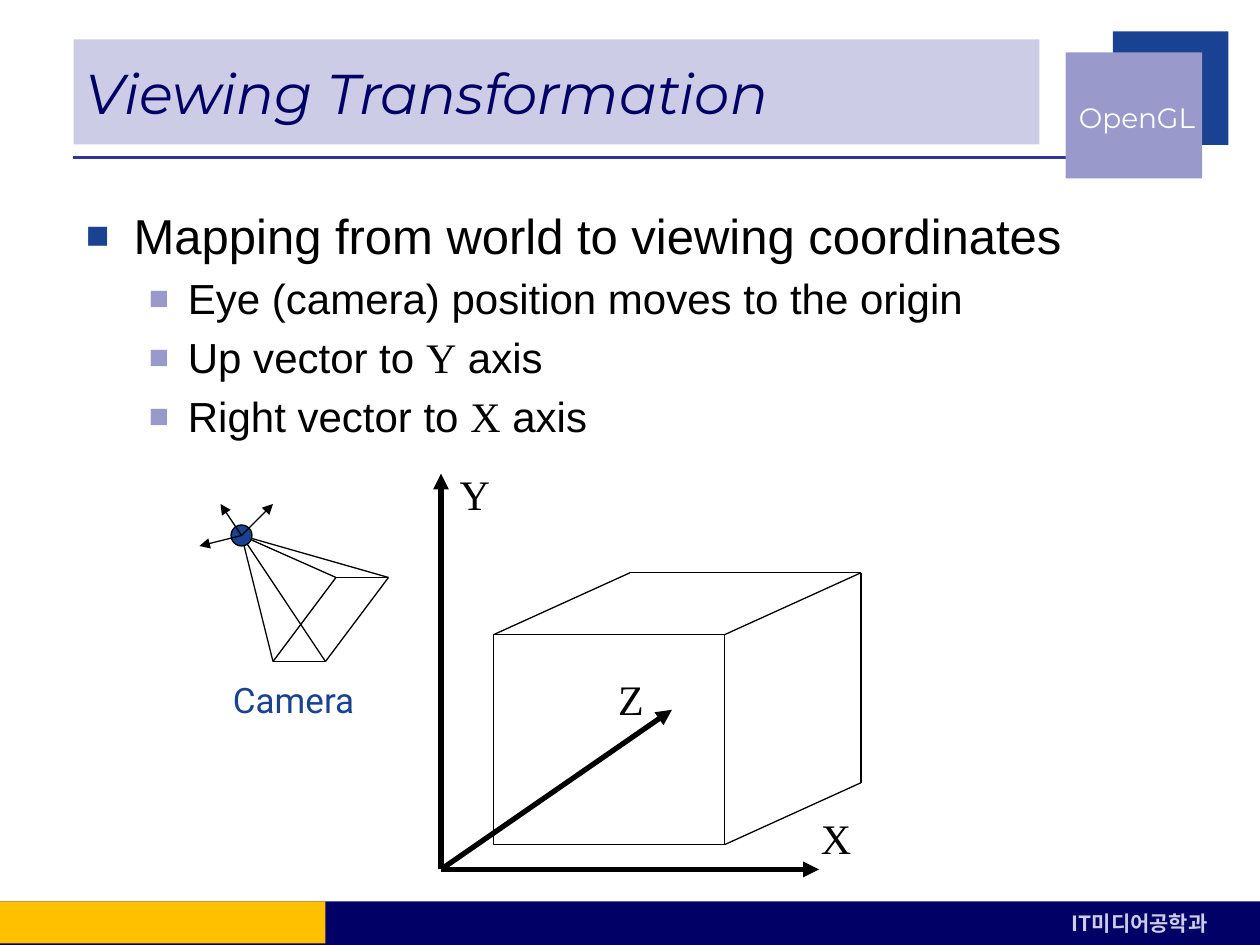
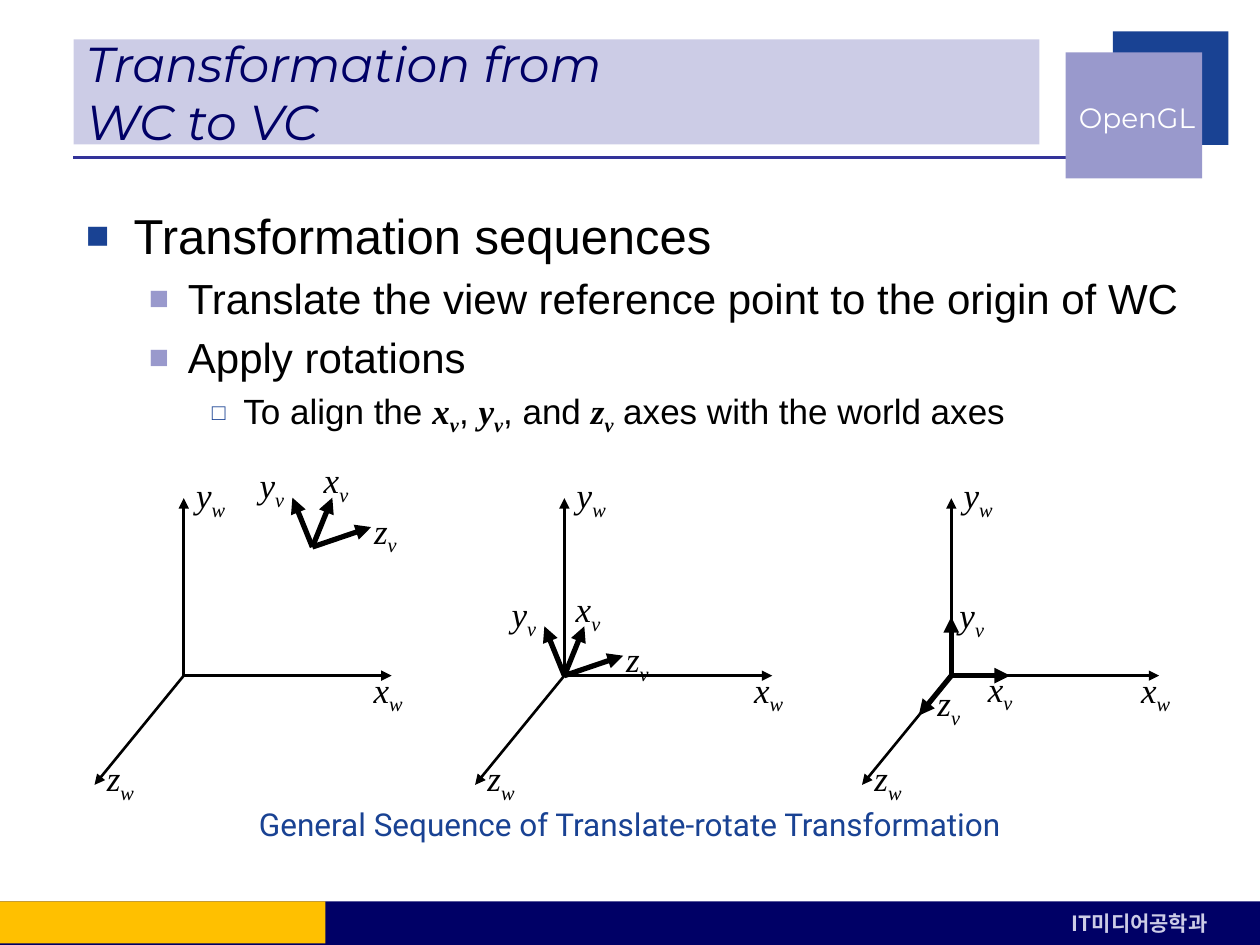
from dataclasses import dataclass, replace
from typing import NamedTuple, Optional

from lxml import etree
from pptx import Presentation
from pptx.dml.color import RGBColor
from pptx.enum import shapes, text
from pptx.oxml import ns
from pptx.util import Emu, Inches, Pt

COLUMNS = 120
SLIDE_WIDTH, SLIDE_HEIGHT = Inches(10), Inches(7.5)
CELL = SLIDE_WIDTH // COLUMNS


@dataclass(frozen=True)
class Theme:
    ink: str = "000000"
    navy: str = "000066"
    blue: str = "194293"
    lilac: str = "9999CC"
    pale: str = "CCCCE6"
    rule: str = "333399"
    gold: str = "FFC000"
    white: str = "FFFFFF"
    sans: str = "Arial"
    serif: str = "Times New Roman"
    display: str = "Montserrat"
    caption: str = "Roboto"
    korean: str = "Noto Sans CJK KR"
    level_sizes: tuple = (28, 24, 20)
    thin: float = 0.75
    medium: float = 1.5
    thick: float = 3


THEME = Theme()


class Point(NamedTuple):
    column: float
    row: float

    def moved(self, offset: "Point") -> "Point":
        return Point(self.column + offset.column, self.row + offset.row)


class Area(NamedTuple):
    column: float
    row: float
    width: float
    height: float


class Edge(NamedTuple):
    start: Point
    end: Point


@dataclass(frozen=True)
class Style:
    font: str
    size: float
    color: str = THEME.ink
    bold: bool = False
    italic: bool = False
    baseline: int = 0


class Span(NamedTuple):
    words: str
    style: Style


@dataclass(frozen=True)
class Layout:
    anchor: text.MSO_ANCHOR = text.MSO_ANCHOR.TOP
    align: text.PP_ALIGN = text.PP_ALIGN.LEFT
    wrap: bool = True


class Bullet(NamedTuple):
    mark: str
    color: str
    percent: int
    margin: float
    hang: float


class Item(NamedTuple):
    level: int
    spans: list


class Label(NamedTuple):
    axis: str
    offset: Point


class Frame(NamedTuple):
    tips: list
    labels: list


BULLETS = (
    Bullet("■", THEME.blue, 80, 0.38, 0.38),
    Bullet("■", THEME.lilac, 80, 0.81, 0.31),
    Bullet("□", THEME.blue, 65, 1.25, 0.25),
)
PLAIN = Layout()
MIDDLE = Layout(anchor=text.MSO_ANCHOR.MIDDLE)
NO_WRAP = Layout(wrap=False)
BADGE = Layout(text.MSO_ANCHOR.MIDDLE, text.PP_ALIGN.RIGHT, False)
CENTERED = Layout(text.MSO_ANCHOR.MIDDLE, text.PP_ALIGN.CENTER, False)

BODY = [Style(THEME.sans, size) for size in THEME.level_sizes]
AXIS_NAME = Style(THEME.serif, 24)
SYMBOL = Style(THEME.serif, 20, italic=True)
CAMERA_NAME = Style(THEME.caption, 20, THEME.blue)
CAPTION = Style(THEME.caption, 18, THEME.blue)
BADGE_NAME = Style(THEME.display, 16, THEME.white)
DEPARTMENT = Style(THEME.korean, 12, THEME.pale, bold=True)


def cells(count: float) -> Emu:
    return Emu(round(count * CELL))


def add_element(parent, tag: str, **attributes: str):
    return etree.SubElement(parent, ns.qn(tag), attributes)


def add_span(para, span: Span) -> None:
    run = para.add_run()
    run.text = span.words
    font, style = run.font, span.style
    font.size, font.bold, font.italic = Pt(style.size), style.bold, style.italic
    font.color.rgb = RGBColor.from_string(style.color)
    font.name = style.font
    properties = run._r.get_or_add_rPr()
    add_element(properties, "a:ea", typeface=style.font)
    if style.baseline:
        properties.set("baseline", str(style.baseline * 1000))


def prepare(box, layout: Layout):
    frame = box.text_frame
    frame.word_wrap = layout.wrap
    frame.vertical_anchor = layout.anchor
    para = frame.paragraphs[0]
    para.alignment = layout.align
    return para


def add_text(page, area: Area, spans: list, layout: Layout = PLAIN):
    box = page.shapes.add_textbox(*map(cells, area))
    para = prepare(box, layout)
    for span in spans:
        add_span(para, span)
    return box


def add_block(page, area: Area, fill: Optional[str] = None, line: Optional[str] = None,
              kind: shapes.MSO_SHAPE = shapes.MSO_SHAPE.RECTANGLE):
    block = page.shapes.add_shape(kind, *map(cells, area))
    block.shadow.inherit = False
    if fill:
        block.fill.solid()
        block.fill.fore_color.rgb = RGBColor.from_string(fill)
    else:
        block.fill.background()
    if line:
        block.line.color.rgb = RGBColor.from_string(line)
        block.line.width = Pt(THEME.thin)
    else:
        block.line.fill.background()
    return block


def add_line(page, edge: Edge, width: float, color: str = THEME.ink, arrow: bool = False) -> None:
    ends = [cells(value) for point in edge for value in point]
    line = page.shapes.add_connector(shapes.MSO_CONNECTOR.STRAIGHT, *ends)
    line.line.color.rgb = RGBColor.from_string(color)
    line.line.width = Pt(width)
    if arrow:
        add_element(line.line._get_or_add_ln(), "a:tailEnd", type="triangle")
    add_element(line._element.spPr, "a:effectLst")


def add_rays(page, origin: Point, tips: list, width: float) -> None:
    for tip in tips:
        add_line(page, Edge(origin, origin.moved(tip)), width, arrow=True)


def set_bullet(para, bullet: Bullet) -> None:
    properties = para._p.get_or_add_pPr()
    properties.set("marL", str(Inches(bullet.margin)))
    properties.set("indent", str(-Inches(bullet.hang)))
    add_element(add_element(properties, "a:buClr"), "a:srgbClr", val=bullet.color)
    add_element(properties, "a:buSzPct", val=str(bullet.percent * 1000))
    add_element(properties, "a:buFont", typeface=THEME.sans)
    add_element(properties, "a:buChar", char=bullet.mark)


def add_outline(page, items: list) -> None:
    box = page.shapes.add_textbox(*map(cells, Area(7, 19, 107, 62)))
    para = prepare(box, PLAIN)
    for index, item in enumerate(items):
        if index:
            para = box.text_frame.add_paragraph()
        para.level = item.level
        set_bullet(para, BULLETS[item.level])
        if index:
            para.space_before = Pt(round(0.2 * THEME.level_sizes[item.level], 1))
        for span in item.spans:
            add_span(para, span)


def add_page(deck, title_lines: list, title_size: float):
    page = deck.slides.add_slide(deck.slide_layouts[6])
    add_line(page, Edge(Point(7, 15), Point(102, 15)), 2.25, THEME.rule)
    add_block(page, Area(106, 3, 11, 10.8), THEME.blue)
    add_block(page, Area(101.5, 5, 13, 12), THEME.lilac)
    add_block(page, Area(0, 85.85, COLUMNS, 4.15), THEME.navy)
    add_block(page, Area(0, 85.85, 31, 4), THEME.gold)
    add_text(page, Area(100.9, 86.15, 19, 3.6), [Span("IT미디어공학과", DEPARTMENT)])
    add_text(page, Area(99, 7.2, 16, 8), [Span("OpenGL", BADGE_NAME)], BADGE)
    band = add_block(page, Area(7, 3.75, 92, 10), THEME.pale)
    para = prepare(band, MIDDLE)
    style = Style(THEME.display, title_size, THEME.navy, italic=True)
    for index, words in enumerate(title_lines):
        if index:
            para.add_line_break()
        add_span(para, Span(words, style))
    return page


def axis_item(direction: str, axis: str) -> Item:
    style = BODY[1]
    return Item(1, [Span(f"{direction} vector to ", style),
                    Span(axis, replace(style, font=THEME.serif)), Span(" axis", style)])


def symbol(axis: str, system: str, style: Style = SYMBOL) -> list:
    return [Span(axis, style), Span(system, replace(style, baseline=-25))]


def add_symbols(page, origin: Point, labels: list, system: str) -> None:
    for label in labels:
        corner = origin.moved(label.offset)
        add_text(page, Area(*corner, 6, 5.1), symbol(label.axis, system), NO_WRAP)


def draw_camera(page) -> None:
    eye = Point(23, 51)
    near_left, near_right = Point(26, 63), Point(31, 63)
    far_left, far_right = Point(32, 55), Point(37, 55)
    corners = [near_left, far_left, far_right, near_right]
    for index, corner in enumerate(corners):
        add_line(page, Edge(eye, corner), THEME.thin)
        add_line(page, Edge(corner, corners[index - 1]), THEME.thin)
    add_block(page, Area(22, 50, 2, 2), THEME.blue, THEME.ink, shapes.MSO_SHAPE.OVAL)
    add_rays(page, eye, [Point(3, -3), Point(-4, 1), Point(-2, -3)], THEME.thin)
    name = add_text(page, Area(15, 64, 21, 5), [Span("Camera", CAMERA_NAME)])
    properties = name.text_frame.paragraphs[0]._p.get_or_add_pPr()
    properties.set("marL", str(Inches(0.5)))


def draw_cube(page) -> None:
    front = Area(47, 60.45, 22, 20)
    depth = Point(13, -5.9)
    add_block(page, front, line=THEME.ink)
    right, bottom = front.column + front.width, front.row + front.height
    corners = [Point(front.column, front.row), Point(right, front.row), Point(right, bottom)]
    backs = [corner.moved(depth) for corner in corners]
    for edge in [*zip(corners, backs), *zip(backs, backs[1:])]:
        add_line(page, Edge(*edge), THEME.thin)


def build_viewing(deck) -> None:
    page = add_page(deck, ["Viewing Transformation"], 32)
    add_outline(page, [
        Item(0, [Span("Mapping from world to viewing coordinates", BODY[0])]),
        Item(1, [Span("Eye (camera) position moves to the origin", BODY[1])]),
        axis_item("Up", "Y"),
        axis_item("Right", "X"),
    ])
    tips = [Point(0, -37.7), Point(36, 0), Point(22, -15.2)]
    add_rays(page, Point(42, 82.8), tips, THEME.thick)
    draw_cube(page)
    draw_camera(page)
    for axis, corner in (("X", Point(77, 76.8)), ("Y", Point(42.6, 44)), ("Z", Point(57.7, 63.6))):
        add_text(page, Area(*corner, 8, 6), [Span(axis, AXIS_NAME)])


def build_sequence(deck) -> None:
    page = add_page(deck, ["Transformation from ", "WC to VC"], 28)
    detail = BODY[2]
    vector = replace(detail, font=THEME.serif, bold=True, italic=True)
    aligned = []
    for lead, axis in (("To align the ", "x"), (", ", "y"), (", and ", "z")):
        aligned += [Span(lead, detail), *symbol(axis, "v", vector)]
    add_outline(page, [
        Item(0, [Span("Transformation sequences", BODY[0])]),
        Item(1, [Span("Translate the view reference point to the origin of WC", BODY[1])]),
        Item(1, [Span("Apply rotations", BODY[1])]),
        Item(2, [*aligned, Span(" axes with the world axes", detail)]),
    ])
    world = Frame(
        [Point(19.8, 0), Point(0, -16.9), Point(-8.5, 10.4)],
        [Label("x", Point(16.9, -1.3)), Label("y", Point(0, -19.8)), Label("z", Point(-8.5, 7.1))])
    tilted = Frame(
        [Point(1.9, -4.7), Point(-1.9, -4.7), Point(5.6, -1.9)],
        [Label("y", Point(-6.2, -8.5)), Label("x", Point(-0.1, -9)), Label("z", Point(4.7, -4.2))])
    matched = Frame(
        [Point(0, -5.6), Point(5.6, 0), Point(-3.1, 3.8)],
        [Label("x", Point(2.3, -1.4)), Label("y", Point(-0.4, -8.4)), Label("z", Point(-2.5, 0))])
    first, second, third = (Point(column, 64.35) for column in (17.5, 53.75, 90.6))
    stages = ((first, Point(29.75, 52.1), tilted), (second, second, tilted), (third, third, matched))
    for origin, eye, view in stages:
        add_rays(page, origin, world.tips, THEME.medium)
        add_rays(page, eye, view.tips, THEME.thick)
        add_symbols(page, origin, world.labels, "w")
        add_symbols(page, eye, view.labels, "v")
    caption = "General Sequence of Translate-rotate Transformation"
    add_text(page, Area(21, 76.1, 78, 4.8), [Span(caption, CAPTION)], CENTERED)


def main() -> None:
    deck = Presentation()
    deck.slide_width, deck.slide_height = SLIDE_WIDTH, SLIDE_HEIGHT
    build_viewing(deck)
    build_sequence(deck)
    deck.save("out.pptx")


if __name__ == "__main__":
    main()
